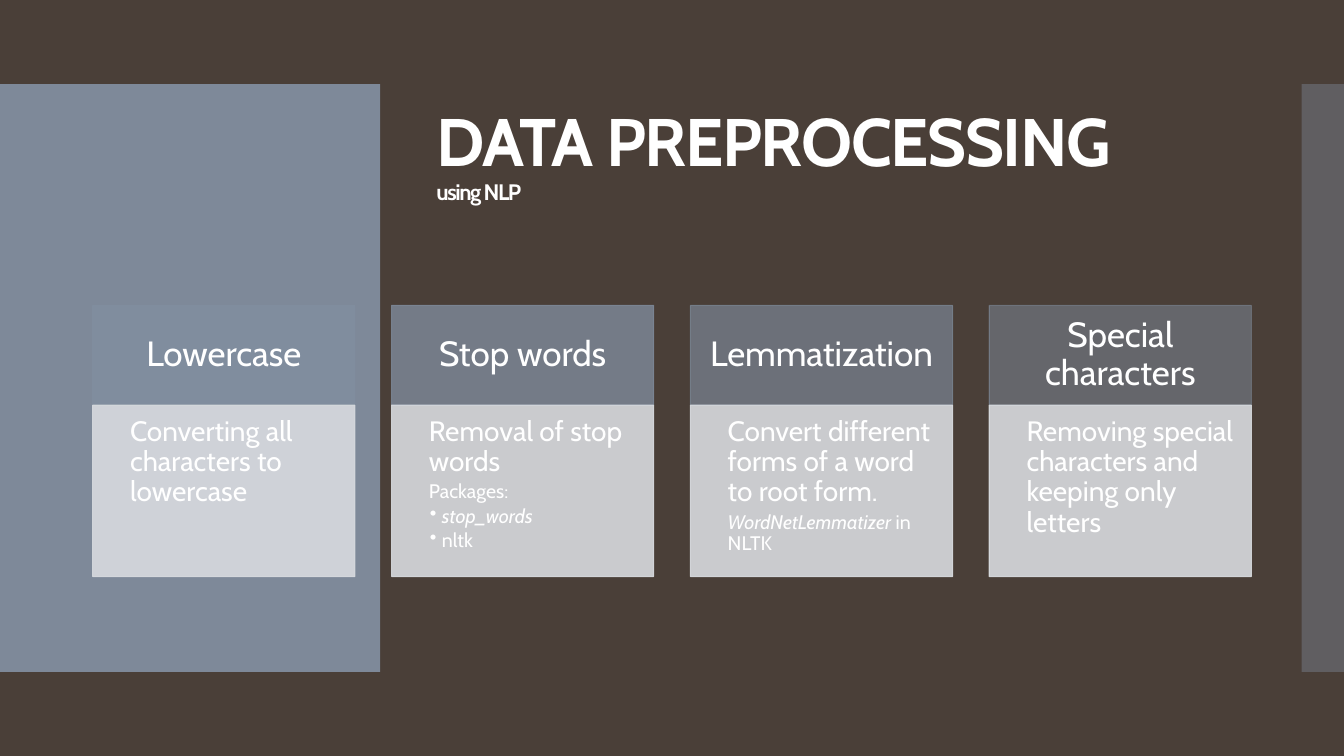
"""Build the data preprocessing slide with its four technique cards."""
from lxml.etree import SubElement
from pptx import Presentation
from pptx.dml.color import RGBColor
from pptx.enum.shapes import MSO_SHAPE as Preset
from pptx.enum.text import MSO_ANCHOR as Anchor, PP_ALIGN as Align
from pptx.oxml.ns import qn
from pptx.util import Inches, Pt

COLORS = {"background": "4A3F38", "accent": "818E9F", "body": "D8DBDF", "text": "FFFFFF"}
FONT = "Cabin"
TITLE, SUBTITLE = "DATA PREPROCESSING", "using NLP"
STYLES = {
    "lead": {"size": 20, "margin": 0.25, "indent": 0, "after": 3},
    "note": {"size": 14, "margin": 0.25, "indent": 0, "after": 2.1},
    "item": {"size": 14, "margin": 0.38, "indent": -0.12, "after": 2.1},
}
CARDS = [
    ("Lowercase", 90, [("lead", [("Converting all characters to lowercase", False)])]),
    ("Stop words", 77, [
        ("lead", [("Removal of stop words", False)]),
        ("note", [("Packages:", False)]),
        ("item", [("stop_words", True)]),
        ("item", [("nltk", False)]),
    ]),
    ("Lemmatization", 63, [
        ("lead", [("Convert different forms of a word to root form.", False)]),
        ("note", [("WordNetLemmatizer", True), (" in NLTK", False)]),
    ]),
    ("Special characters", 50, [
        ("lead", [("Removing special characters and keeping only letters", False)]),
    ]),
]

WIDTH, HEIGHT = 13.33, 7.5
BAND_TOP, BAND_HEIGHT = HEIGHT / 9, HEIGHT * 7 / 9
SIDE_WIDTH, EDGE_WIDTH = 3.77, 0.42
CARD_LEFT, CARD_TOP, CARD_WIDTH = 0.92, 3.03, 2.6
CARD_STEP = CARD_WIDTH * 1.14
HEADING_HEIGHT, BODY_HEIGHT = 0.99, 1.7


def paint(fill, color, opacity):
    fill.solid()
    fill.fore_color.rgb = RGBColor.from_string(COLORS[color])
    solid = fill.fore_color._xFill
    SubElement(solid[0], qn("a:alpha"), val=str(opacity * 1000))


def add_panel(box, color, opacity, outlined=False):
    panel = slide.shapes.add_shape(Preset.RECTANGLE, *map(Inches, box))
    panel.shadow.inherit = False
    paint(panel.fill, color, opacity)
    if outlined:
        panel.line.width = Pt(0.75)
        paint(panel.line.fill, color, opacity)
    else:
        panel.line.fill.background()
    return panel


def set_frame(frame, anchor, insets):
    frame.word_wrap = True
    frame.vertical_anchor = anchor
    (frame.margin_left, frame.margin_top,
     frame.margin_right, frame.margin_bottom) = map(Inches, insets)
    return frame


def add_run(paragraph, text, size, bold=False, italic=False):
    run = paragraph.add_run()
    run.text = text
    font = run.font
    font.name, font.size, font.bold, font.italic = FONT, Pt(size), bold, italic
    font.color.rgb = RGBColor.from_string(COLORS["text"])
    return run


def format_paragraph(paragraph, style):
    paragraph.alignment = Align.LEFT
    paragraph.line_spacing = 0.9
    paragraph.space_after = Pt(style["after"])
    props = paragraph._p.get_or_add_pPr()
    props.set("marL", str(Inches(style["margin"])))
    props.set("indent", str(Inches(style["indent"])))
    if style["indent"]:
        SubElement(props, qn("a:buChar"), char="•")


def add_card(left, name, opacity, paragraphs):
    heading = add_panel((left, CARD_TOP, CARD_WIDTH, HEADING_HEIGHT), "accent", opacity, True)
    label = set_frame(heading.text_frame, Anchor.MIDDLE, (0.19, 0.11, 0.19, 0.11)).paragraphs[0]
    label.alignment, label.line_spacing = Align.CENTER, 0.9
    add_run(label, name, 25)

    body = add_panel((left, CARD_TOP + HEADING_HEIGHT, CARD_WIDTH, BODY_HEIGHT), "body", 90, True)
    frame = set_frame(body.text_frame, Anchor.TOP, (0.12, 0.12, 0.16, 0.17))
    for index, (kind, runs) in enumerate(paragraphs):
        paragraph = frame.add_paragraph() if index else frame.paragraphs[0]
        format_paragraph(paragraph, STYLES[kind])
        for text, italic in runs:
            add_run(paragraph, text, STYLES[kind]["size"], italic=italic)


deck = Presentation()
deck.slide_width, deck.slide_height = Inches(WIDTH), Inches(HEIGHT)
slide = deck.slides.add_slide(deck.slide_layouts[6])
slide.background.fill.solid()
slide.background.fill.fore_color.rgb = RGBColor.from_string(COLORS["background"])

add_panel((0, BAND_TOP, SIDE_WIDTH, BAND_HEIGHT), "accent", 95)
add_panel((WIDTH - EDGE_WIDTH, BAND_TOP, EDGE_WIDTH, BAND_HEIGHT), "accent", 40)

for column, card in enumerate(CARDS):
    add_card(CARD_LEFT + column * CARD_STEP, *card)

title = slide.shapes.add_textbox(*map(Inches, (4.23, 0.86, 8, 1.23)))
headline = set_frame(title.text_frame, Anchor.BOTTOM, (0.1, 0.05, 0.1, 0.05)).paragraphs[0]
headline.line_spacing = 0.9
title_run = add_run(headline, TITLE, 48, bold=True)
headline.add_line_break()
subtitle_run = add_run(headline, SUBTITLE, 16, bold=True)
for run in (title_run, subtitle_run):
    run.font._rPr.set("spc", "-100")

deck.save("out.pptx")
